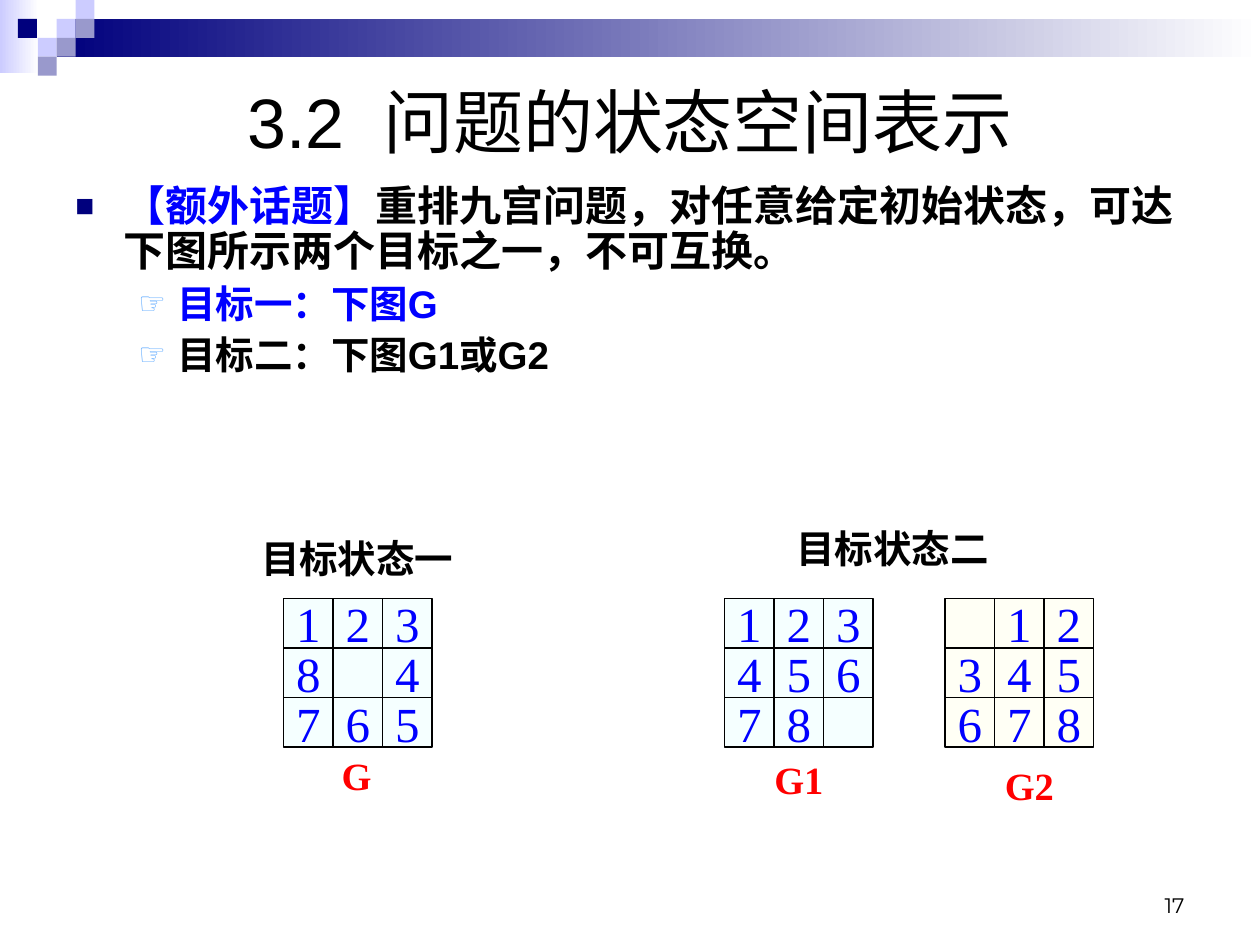
from lxml import etree
from pptx import Presentation
from pptx.dml.color import RGBColor
from pptx.enum.shapes import MSO_SHAPE as Shape
from pptx.enum.text import MSO_ANCHOR as Anchor, MSO_AUTO_SIZE as AutoSize, PP_ALIGN as Align
from pptx.oxml.ns import qn
from pptx.util import Inches, Pt

NAVY, LILAC, MAUVE = "00007D", "CCCCFF", "9999CC"
BLACK, WHITE, BLUE, RED, SKY = "000000", "FFFFFF", "0000FF", "FF0000", "67AFFF"
ICE, IVORY = "F5FFFF", "FFFFF5"
SERIF, SANS = "Times New Roman", "Arial"
STEP = 0.15          # corner mosaic square
CELL = 1.18 / 3      # puzzle cell


def color(value):
    return RGBColor.from_string(value)


def apply(target, values):
    for name, value in values.items():
        setattr(target, name, value)


class PuzzleSlide:
    def __init__(self, presentation):
        self.slide = presentation.slides.add_slide(presentation.slide_layouts[6])
        self.label_style = {"size": 22, "name": SERIF, "bold": True}
        self.digit_style = {"size": 28, "name": SERIF, "hue": BLUE}

    def run(self, paragraph, text, size, name, hue=BLACK, bold=False):
        run = paragraph.add_run()
        run.text = text
        apply(run.font, {"size": Pt(size), "name": name, "bold": bold})
        run.font.color.rgb = color(hue)
        return run

    def rectangle(self, left, top, width, height, fill, parent=None):
        shapes = (parent or self.slide).shapes
        shape = shapes.add_shape(Shape.RECTANGLE, Inches(left), Inches(top),
                                 Inches(width), Inches(height))
        shape.shadow.inherit = False
        shape.line.fill.background()
        shape.fill.solid()
        shape.fill.fore_color.rgb = color(fill)
        return shape

    def fade(self, left, top, width, height, start):
        shape = self.rectangle(left, top, width, height, start)
        shape.fill.gradient()
        shape.fill.gradient_angle = 0
        for stop, value in zip(shape.fill.gradient_stops, (start, WHITE)):
            stop.color.rgb = color(value)

    def text_box(self, left, top, width, height, align=Align.LEFT, **frame_values):
        box = self.slide.shapes.add_textbox(Inches(left), Inches(top),
                                            Inches(width), Inches(height))
        apply(box.text_frame, {"word_wrap": True, **frame_values})
        box.text_frame.paragraphs[0].alignment = align
        return box.text_frame

    def label(self, left, top, width, text, hue=BLACK):
        frame = self.text_box(left, top, width, 0.47, Align.CENTER,
                              auto_size=AutoSize.SHAPE_TO_FIT_TEXT)
        self.run(frame.paragraphs[0], text, hue=hue, **self.label_style)

    def bullet(self, paragraph, mark, hue, percent, margin, indent):
        properties = paragraph._p.get_or_add_pPr()
        properties.set("marL", str(Inches(margin)))
        properties.set("indent", str(Inches(-indent)))
        bullet_color = etree.SubElement(properties, qn("a:buClr"))
        etree.SubElement(bullet_color, qn("a:srgbClr"), val=hue)
        etree.SubElement(properties, qn("a:buSzPct"), val=str(percent * 1000))
        etree.SubElement(properties, qn("a:buFont"), typeface=SANS)
        etree.SubElement(properties, qn("a:buChar"), char=mark)
        paragraph.line_spacing = 0.9

    def puzzle(self, left, top, digits, fill):
        group = self.slide.shapes.add_group_shape()
        for index, digit in enumerate(digits):
            row, column = divmod(index, 3)
            cell = self.rectangle(left + column * CELL, top + row * CELL,
                                  CELL, CELL, fill, group)
            cell.line.color.rgb = color(BLACK)
            cell.line.width = Pt(0.75)
            if digit != " ":
                frame = cell.text_frame
                apply(frame, {"word_wrap": False, "vertical_anchor": Anchor.MIDDLE})
                frame.paragraphs[0].alignment = Align.CENTER
                self.run(frame.paragraphs[0], digit, **self.digit_style)


def main():
    presentation = Presentation()
    apply(presentation, {"slide_width": Inches(10), "slide_height": Inches(7.5)})
    page = PuzzleSlide(presentation)

    # Top band and corner mosaic
    page.fade(0, 0, 0.31, 0.58, LILAC)
    page.fade(0.45, 0.15, 9.55, 0.3, NAVY)
    for column, row, fill in [(3, 1, LILAC), (4, 0, LILAC), (4, 1, MAUVE), (2, 2, LILAC),
                              (0.95, 1, NAVY), (3, 2, MAUVE), (2, 3, MAUVE)]:
        page.rectangle(column * STEP, row * STEP, STEP, STEP, fill)

    # Title, with a wide gap after the section number
    title = page.text_box(0.5, 0.5, 9, 0.92, Align.CENTER, vertical_anchor=Anchor.MIDDLE)
    for text in ("3.2", " ", "问题的状态空间表示"):
        part = page.run(title.paragraphs[0], text, 40, SANS)
        if text == " ":
            part.font._element.set("spc", "1100")

    # Topic and its two goals
    body = page.text_box(0.5, 1.42, 9, 1.75)
    topic = body.paragraphs[0]
    page.bullet(topic, "■", NAVY, 75, 0.38, 0.38)
    page.run(topic, "【额外话题】", 24, SANS, BLUE, True)
    page.run(topic, "重排九宫问题，对任意给定初始状态，可达下图所示两个目标之一，不可互换。",
             24, SANS, BLACK, True)
    for text, hue in [("目标一：下图G", BLUE), ("目标二：下图G1或G2", BLACK)]:
        goal = body.add_paragraph()
        goal.level = 1
        page.bullet(goal, "☞", SKY, 80, 0.81, 0.31)
        goal.space_before = Pt(5.5)
        page.run(goal, text, 22, SANS, hue, True)

    # Goal boards with their names
    for left, digits, fill, name, name_left, name_top in [
            (2.25, "1238 4765", ICE, "G", 2.08, 5.92),
            (5.75, "12345678 ", ICE, "G1", 5.59, 5.95),
            (7.5, " 12345678", IVORY, "G2", 7.42, 6)]:
        page.puzzle(left, 4.75, digits, fill)
        page.label(name_left, name_top, 1.5, name, RED)
    page.label(1.92, 4.2, 1.83, "目标状态一")
    page.label(6.17, 4.12, 1.83, "目标状态二")

    # Page number
    number = page.text_box(7.17, 6.83, 2.33, 0.5, Align.RIGHT, vertical_anchor=Anchor.BOTTOM)
    page.run(number.paragraphs[0], "17", 12, "Montserrat")

    presentation.save("out.pptx")


if __name__ == "__main__":
    main()
